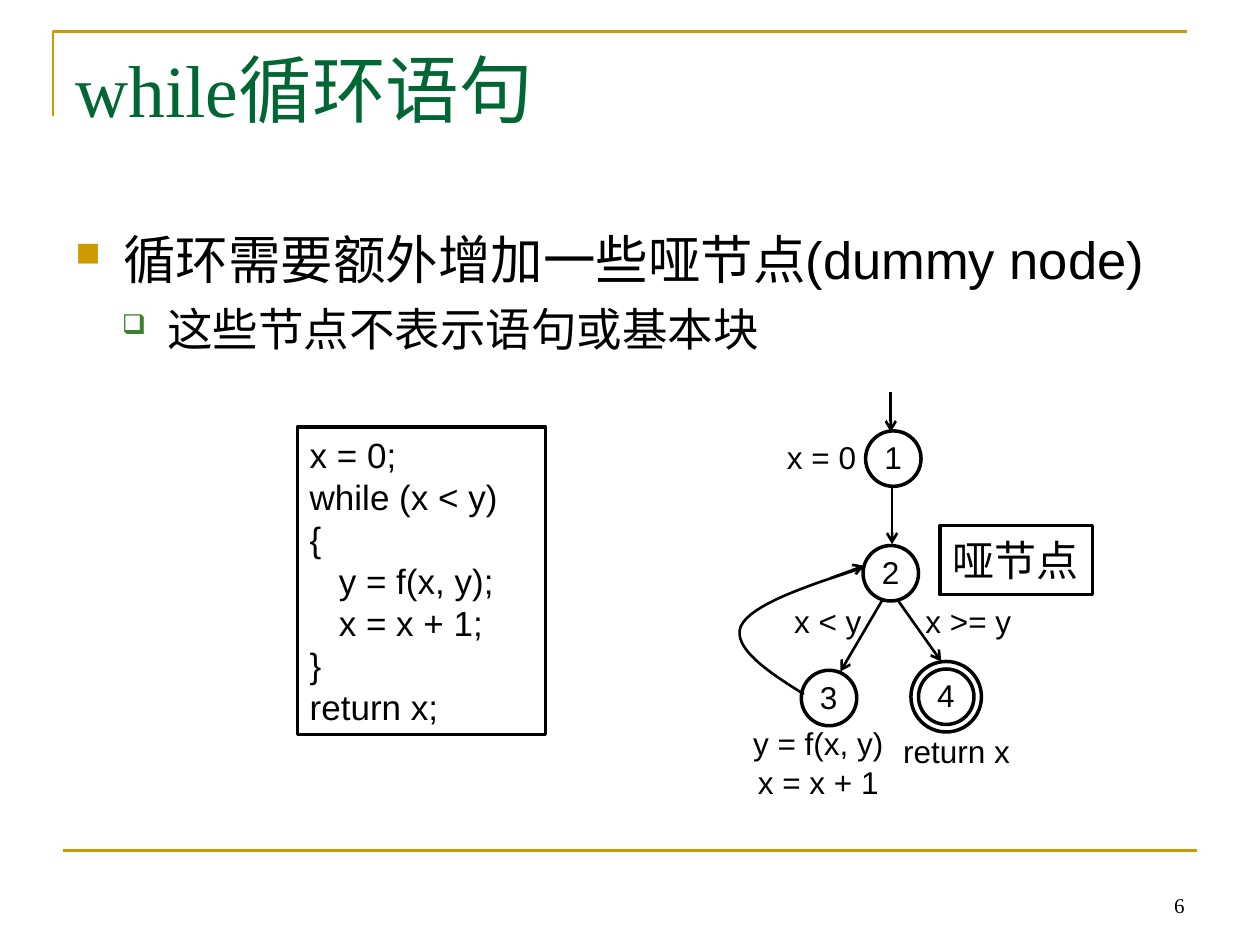
from lxml.etree import SubElement
from pptx import Presentation
from pptx.dml.color import RGBColor
from pptx.enum.shapes import MSO_CONNECTOR, MSO_SHAPE
from pptx.enum.text import MSO_ANCHOR, PP_ALIGN
from pptx.oxml.ns import qn
from pptx.util import Inches, Pt


def write(box, text, size=18, font="Arial", color="000000", align=PP_ALIGN.LEFT,
          anchor=MSO_ANCHOR.TOP, wrap=True, spacing=None, before=0):
    frame = box.text_frame
    frame.word_wrap = wrap
    frame.vertical_anchor = anchor
    for index, line in enumerate(text.split("\n")):
        para = frame.add_paragraph() if index else frame.paragraphs[0]
        para.alignment = align
        para.line_spacing = spacing
        para.space_before = Pt(before if index else 0)
        span = para.add_run()
        span.text = line
        span.font.size = Pt(size)
        span.font.name = font
        span.font.color.rgb = RGBColor.from_string(color)


def stroke(shape, color="000000", width=1.5, arrow=False):
    shape.line.color.rgb = RGBColor.from_string(color)
    shape.line.width = Pt(width)
    properties = shape.element.spPr
    if arrow:
        SubElement(properties.find(qn("a:ln")), qn("a:tailEnd"), type="arrow")
    SubElement(properties, qn("a:effectLst"))


deck = Presentation()
deck.slide_width, deck.slide_height = Inches(10), Inches(7.5)
page = deck.slides.add_slide(deck.slide_layouts[6])
shapes = page.shapes

corner = [(0.42, 0.92), (0.42, 0.25), (9.42, 0.25)]

curves = [
    [(6.38, 5.51), (6.09, 5.33), (5.81, 5.14), (5.88, 4.97)],
    [(5.88, 4.97), (5.96, 4.8), (6.4, 4.65), (6.84, 4.51)],
]
steps = 16
loop_back = [curves[0][0]]
for curve in curves:
    for step in range(1, steps + 1):
        t = step / steps
        weights = [(1 - t) ** 3, 3 * t * (1 - t) ** 2, 3 * t ** 2 * (1 - t), t ** 3]
        loop_back.append([sum(w * point[axis] for w, point in zip(weights, curve))
                          for axis in (0, 1)])

for points, color in [(corner, "CC9900"), (loop_back, "000000")]:
    points = [(Inches(x), Inches(y)) for x, y in points]
    builder = shapes.build_freeform(*points[0])
    builder.add_line_segments(points[1:], close=False)
    outline = builder.convert_to_shape()
    outline.fill.background()
    stroke(outline, color)

title = shapes.add_textbox(Inches(0.5), Inches(0.3), Inches(9), Inches(1.25))
write(title, "while循环语句", size=42, font="Times New Roman", color="006633")

body = shapes.add_textbox(Inches(0.5), Inches(1.75), Inches(9), Inches(4.95))
write(body, "循环需要额外增加一些哑节点(dummy node)\n这些节点不表示语句或基本块", size=30, before=6.5)
bullets = [("■", "CC9900", 65, 0.38, 0.38, 30), ("❑", "3B812F", 60, 0.73, 0.36, 26)]
for level, (para, bullet) in enumerate(zip(body.text_frame.paragraphs, bullets)):
    mark, color, percent, margin, hang, size = bullet
    para.level = level
    para.runs[0].font.size = Pt(size)
    properties = para._p.get_or_add_pPr()
    properties.set("marL", str(Inches(margin)))
    properties.set("indent", str(-Inches(hang)))
    SubElement(SubElement(properties, qn("a:buClr")), qn("a:srgbClr"), val=color)
    SubElement(properties, qn("a:buSzPct"), val=str(percent * 1000))
    SubElement(properties, qn("a:buChar"), char=mark)

code = """x = 0;
while (x < y)
{
   y = f(x, y);
   x = x + 1;
}
return x;"""
frames = [
    (code, 2.36, 3.39, 1.97, 2.44, 20, MSO_ANCHOR.TOP),
    ("哑节点", 7.46, 4.17, 1.21, 0.55, 24, MSO_ANCHOR.MIDDLE),
]
for text, left, top, width, height, size, anchor in frames:
    frame = shapes.add_shape(MSO_SHAPE.RECTANGLE, Inches(left), Inches(top),
                             Inches(width), Inches(height))
    frame.fill.solid()
    frame.fill.fore_color.rgb = RGBColor.from_string("FFFFFF")
    stroke(frame, width=2)
    write(frame, text, size=size, anchor=anchor)

nodes = [("1", 6.87, 3.42), ("2", 6.85, 4.33), ("3", 6.36, 5.32), ("4", 7.29, 5.31)]
rings = [(left, top, 0.44) for _, left, top in nodes] + [(7.23, 5.25, 0.56)]
for left, top, diameter in rings:
    ring = shapes.add_shape(MSO_SHAPE.OVAL, Inches(left), Inches(top),
                            Inches(diameter), Inches(diameter))
    ring.fill.background()
    stroke(ring, width=2)
for number, left, top in nodes:
    box = shapes.add_textbox(Inches(left + 0.05), Inches(top + 0.01), Inches(0.34), Inches(0.4))
    write(box, number, wrap=False)

lines = [
    (0.5, 6.75, 9.5, 6.75, "CC9900", False),
    (7.07, 3.11, 7.07, 3.43, "000000", True),
    (7.08, 3.87, 7.08, 4.32, "000000", True),
    (7.01, 4.75, 6.67, 5.33, "000000", True),
    (7.13, 4.77, 7.47, 5.25, "000000", True),
    (6.59, 4.59, 6.86, 4.49, "000000", True),
]
for x1, y1, x2, y2, color, arrow in lines:
    line = shapes.add_connector(MSO_CONNECTOR.STRAIGHT, Inches(x1), Inches(y1),
                                Inches(x2), Inches(y2))
    stroke(line, color, arrow=arrow)

centred = {"align": PP_ALIGN.CENTER}
labels = [
    ("x = 0", 6.11, 3.43, 0.82, 0.4, centred),
    ("x < y", 6.16, 4.73, 0.82, 0.4, centred),
    ("x >= y", 7.19, 4.73, 0.99, 0.4, centred),
    ("y = f(x, y)\nx = x + 1", 5.83, 5.83, 1.33, 0.56,
     {"align": PP_ALIGN.CENTER, "spacing": 0.5, "before": 11.2}),
    ("return x", 7.07, 5.76, 1.33, 0.4, {}),
    ("6", 7.17, 6.83, 2.33, 0.5, {"size": 12, "font": "Times New Roman",
                                  "align": PP_ALIGN.RIGHT, "anchor": MSO_ANCHOR.BOTTOM}),
]
for text, left, top, width, height, style in labels:
    box = shapes.add_textbox(Inches(left), Inches(top), Inches(width), Inches(height))
    write(box, text, **style)

deck.save("out.pptx")
